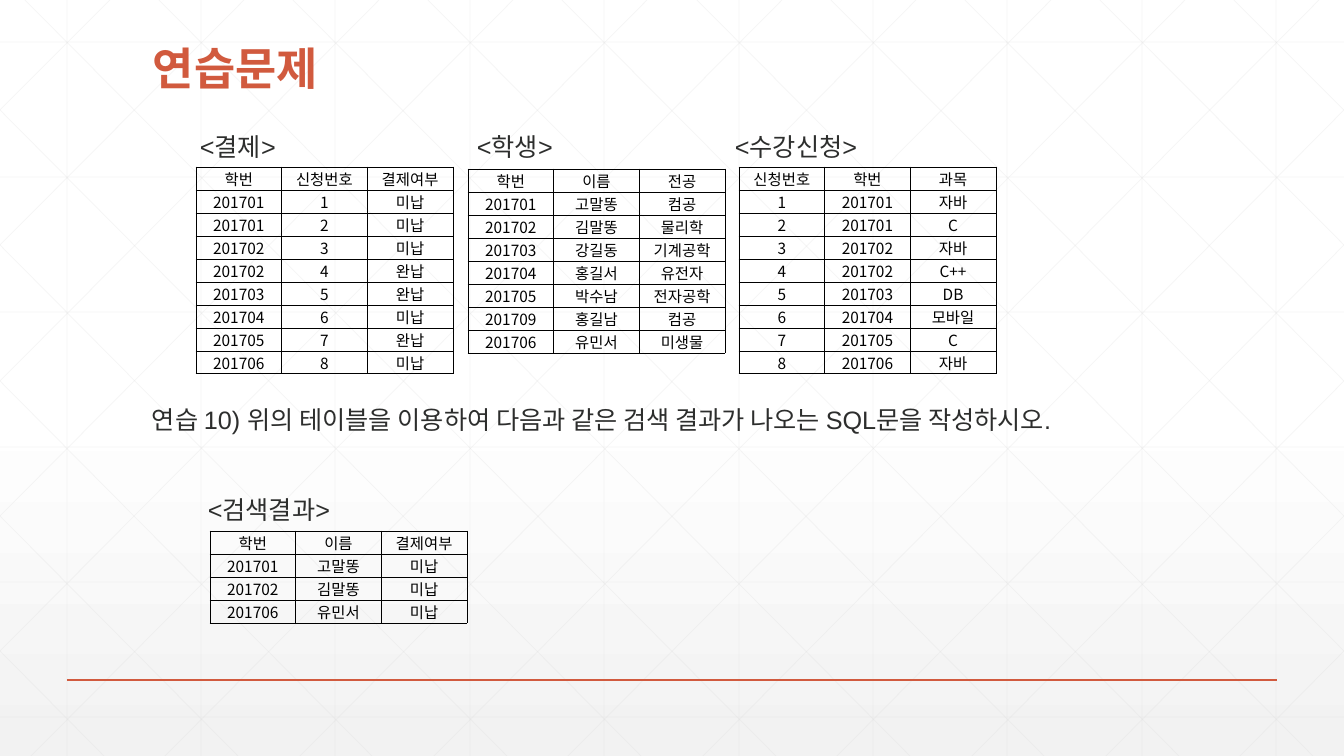
from lxml.etree import SubElement
from pptx import Presentation
from pptx.dml.color import RGBColor
from pptx.enum.shapes import MSO_CONNECTOR as Connector
from pptx.enum.text import MSO_ANCHOR as Anchor, MSO_AUTO_SIZE as AutoSize, PP_ALIGN as Align
from pptx.oxml.ns import qn
from pptx.util import Emu, Pt

WIDTH, HEIGHT = 1344, 756
EMU_PER_PX = 914400 / 100.8
ACCENT, INK, GRID, BLACK = "D15A3E", "2D2E2D", "D9D9D9", "000000"
LATIN, KOREAN = "Arial", "Noto Sans CJK KR"

PAYMENTS = """학번 신청번호 결제여부
201701 1 미납
201701 2 미납
201702 3 미납
201702 4 완납
201703 5 완납
201704 6 미납
201705 7 완납
201706 8 미납"""
STUDENTS = """학번 이름 전공
201701 고말똥 컴공
201702 김말똥 물리학
201703 강길동 기계공학
201704 홍길서 유전자
201705 박수남 전자공학
201709 홍길남 컴공
201706 유민서 미생물"""
COURSES = """신청번호 학번 과목
1 201701 자바
2 201701 C
3 201702 자바
4 201702 C++
5 201703 DB
6 201704 모바일
7 201705 C
8 201706 자바"""
RESULTS = """학번 이름 결제여부
201701 고말똥 미납
201702 김말똥 미납
201706 유민서 미납"""


def px(length):
    return Emu(round(length * EMU_PER_PX))


def color(value):
    return RGBColor.from_string(value)


def apply(target, values):
    for name, value in values.items():
        setattr(target, name, value)


class SlideBuilder:
    """Holds the current slide and draws elements in its style."""

    def __init__(self, slide):
        self.slide = slide

    def background(self, stops):
        fill = self.slide.background.fill
        fill.gradient()
        fill.gradient_angle = 270
        for stop, (position, value) in zip(fill.gradient_stops, stops):
            stop.position = position
            stop.color.rgb = color(value)

    def line(self, start, end, value=GRID, width=0.5, opacity=25):
        connector = self.slide.shapes.add_connector(
            Connector.STRAIGHT, *map(px, start + end))
        connector.line.color.rgb = color(value)
        connector.line.width = Pt(width)
        properties = connector._element.spPr
        if opacity < 100:
            tint = properties.find(f".//{qn('a:srgbClr')}")
            SubElement(tint, qn("a:alpha"), val=str(opacity * 1000))
        SubElement(properties, qn("a:effectLst"))

    def add_text(self, para, text, size, value=INK, font=LATIN, bold=False):
        span = para.add_run()
        span.text = text
        apply(span.font, {"size": Pt(size), "name": font, "bold": bold})
        span.font.color.rgb = color(value)
        SubElement(span.font._element, qn("a:ea"), typeface=KOREAN)

    def text_box(self, bounds, frame_format):
        box = self.slide.shapes.add_textbox(*map(px, bounds))
        apply(box.text_frame, frame_format)
        return box.text_frame

    def label(self, text, left, width):
        frame = self.text_box((left, 126, width, 40), {
            "word_wrap": False, "auto_size": AutoSize.SHAPE_TO_FIT_TEXT})
        self.add_text(frame.paragraphs[0], text, 18)

    def border(self, cell):
        properties = cell._tc.get_or_add_tcPr()
        for side in ("lnL", "lnR", "lnT", "lnB"):
            edge = SubElement(properties, qn(f"a:{side}"), w=str(Pt(0.5)))
            solid = SubElement(edge, qn("a:solidFill"))
            SubElement(solid, qn("a:srgbClr"), val=BLACK)

    def table(self, content, left, top, width=257, row_height=23):
        rows = [line.split() for line in content.splitlines()]
        columns = len(rows[0])
        table = self.slide.shapes.add_table(
            len(rows), columns, px(left), px(top),
            px(width), px(row_height * len(rows))).table
        apply(table, {"first_row": False, "horz_banding": False})
        for column in table.columns:
            column.width = px(width / columns)
        for row, texts in zip(table.rows, rows):
            row.height = px(row_height)
            for cell, text in zip(row.cells, texts):
                apply(cell, {"margin_left": px(1), "margin_top": px(1),
                             "margin_right": px(1), "margin_bottom": 0,
                             "vertical_anchor": Anchor.MIDDLE})
                self.border(cell)
                cell.fill.background()
                para = cell.text_frame.paragraphs[0]
                para.alignment = Align.CENTER
                self.add_text(para, text, 11, BLACK, KOREAN)

    def grid(self):
        """Draws ten columns, six rows and mirrored diagonals clipped to the slide."""
        for index in range(10):
            x = 67 + index * WIDTH // 10
            self.line((x, 0), (x, HEIGHT))
        for y in range(42, HEIGHT, 135):
            self.line((0, y), (WIDTH, y))
        run = 751
        for index in range(-5, 10):
            start = 25 + index * WIDTH // 10
            left, right = max(start, 0), min(start + run, WIDTH)
            top, bottom = ((x - start) * HEIGHT // run for x in (left, right))
            self.line((left, top), (right, bottom))
            self.line((WIDTH - left, top), (WIDTH - right, bottom))


def main():
    deck = Presentation()
    apply(deck, {"slide_width": px(WIDTH), "slide_height": px(HEIGHT)})
    page = SlideBuilder(deck.slides.add_slide(deck.slide_layouts[6]))
    page.background([(0.53, "FFFFFF"), (1, "F2F2F2")])
    page.grid()
    page.line((67, 680), (1277, 680), ACCENT, 1, 100)

    title = page.text_box((143, 39, 1058, 61), {
        "word_wrap": True, "vertical_anchor": Anchor.BOTTOM}).paragraphs[0]
    title.line_spacing = 0.9
    page.add_text(title, "연습문제", 32, ACCENT, bold=True)

    exercise = page.text_box((142, 399, 1166, 224), {"word_wrap": True})
    page.add_text(exercise.paragraphs[0],
                  "연습 10) 위의 테이블을 이용하여 다음과 같은 검색 결과가 나오는 SQL문을 작성하시오.", 18)
    result_label = exercise.add_paragraph()
    result_label.space_before = Pt(43)
    result_label._p.get_or_add_pPr().set("marL", str(px(56)))
    page.add_text(result_label, "<검색결과>", 18)

    for text, left, width in (("<결제>", 190, 108), ("<학생>", 467, 108),
                              ("<수강신청>", 725, 159)):
        page.label(text, left, width)
    for content, left, top in ((PAYMENTS, 196, 167), (COURSES, 739, 167),
                               (RESULTS, 210, 531), (STUDENTS, 468, 169)):
        page.table(content, left, top)
    deck.save("out.pptx")


if __name__ == "__main__":
    main()
